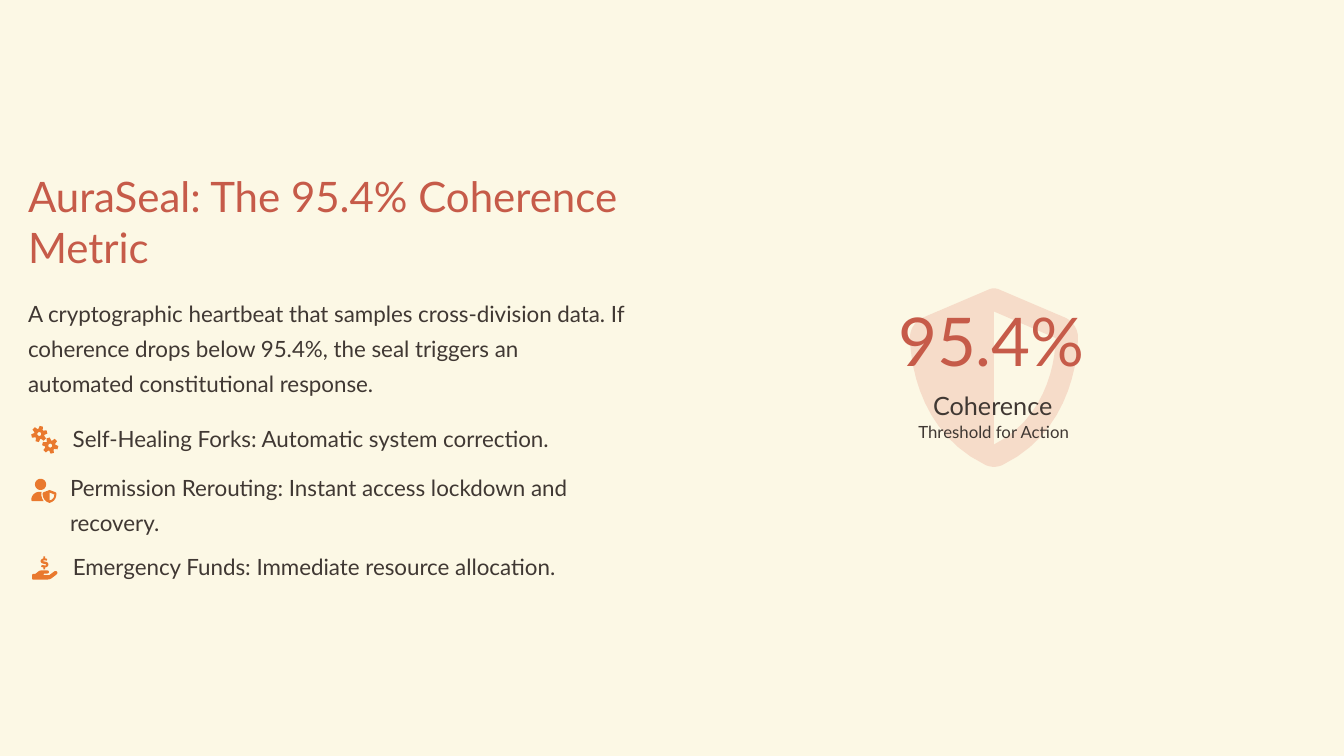
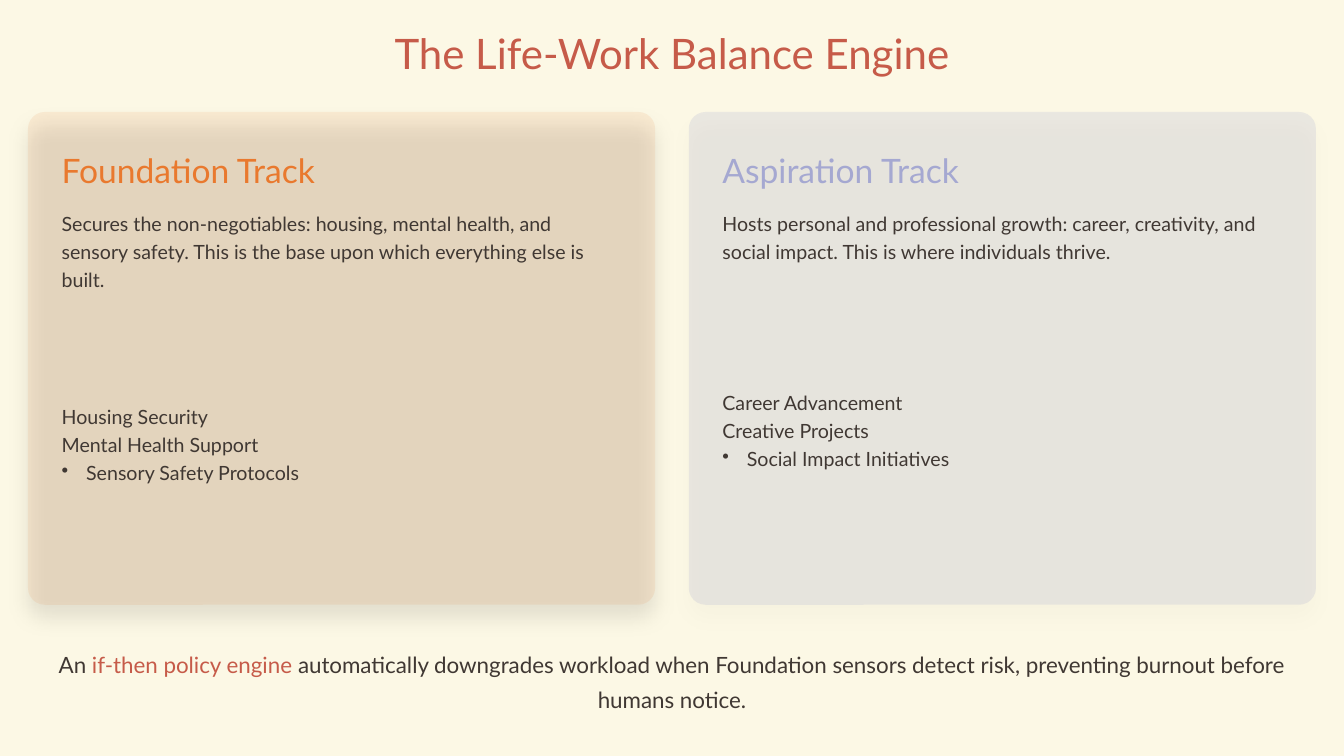
from math import cos, radians, sin

from lxml.etree import SubElement
from pptx import Presentation
from pptx.dml.color import RGBColor
from pptx.enum.shapes import MSO_SHAPE
from pptx.enum.text import MSO_ANCHOR, PP_ALIGN
from pptx.oxml.ns import qn
from pptx.util import Pt

CREAM, RED, CORAL = "FCF8E5", "C65B49", "E06C59"
DARK, ORANGE, LILAC = "403833", "E9792E", "A5A8D1"
FACE = "Lato"
WIDE, HIGH = 960, 540
EDGE = 20
STYLES = {
    "title": {"size": 30, "color": RED, "line": 1.0},
    "lead": {"size": 16, "color": DARK, "line": 1.3},
    "head": {"size": 24, "color": ORANGE, "line": 1.1},
    "body": {"size": 14, "color": DARK, "line": 1.2},
    "score": {"size": 48, "color": RED, "line": 0.8},
    "label": {"size": 18, "color": DARK, "line": 1.3},
    "note": {"size": 12, "color": DARK, "line": 1.1},
}
FRAME = {
    "margin_left": 0, "margin_top": 0, "margin_right": 0, "margin_bottom": 0,
    "word_wrap": True, "vertical_anchor": MSO_ANCHOR.MIDDLE,
}
SHIELD = [
    [(710, 206), (711.2, 206, 712.4, 206.2, 713.5, 206.7), (760.4, 226.7),
     (766, 229, 770, 234.8, 770, 241), (769.6, 265.5, 759.6, 311, 716.5, 331.9),
     (712.4, 334, 707.6, 334, 703.5, 331.9), (660.4, 311, 650.4, 265.5, 650, 241),
     (650, 234.8, 654, 229, 659.6, 226.7), (706.5, 206.7),
     (707.6, 206.2, 708.8, 206, 710, 206)],
    [(710, 222.5), (710, 317.5), (744.5, 300.2, 753.8, 263.5, 754, 241.5)],
]
GUARD = [
    [(27.7, 351.4), (25, 351.4, 22.4, 354, 22.4, 356.8),
     (22.4, 357.6, 22.8, 358, 23.5, 358), (31.2, 358),
     (30.2, 356.5, 29.5, 354.8, 29.5, 352.8), (29.7, 351.4)],
    [(35.4, 350), (39.6, 351.6), (40.1, 351.8, 40.3, 352.2, 40.3, 352.7),
     (40.3, 355.8, 38.8, 358.2, 35.4, 359.2), (32, 358.2, 30.5, 355.8, 30.5, 352.7),
     (30.5, 352.2, 30.7, 351.8, 31.2, 351.6)],
    [(35.4, 351.8), (38.8, 353.2), (38.8, 355.5, 37.7, 356.8, 35.4, 357.5)],
]
FUNDS = [
    [(31, 397.5), (32.3, 397.5), (32.3, 398.9), (33.8, 399.2), (33.5, 400.5),
     (31.2, 400.2), (30.8, 400.9), (33.2, 401.4), (35.1, 402, 35.1, 404.6, 33, 405.2),
     (32.3, 405.4), (32.3, 406.8), (31, 406.8), (31, 405.4), (29.4, 404.9),
     (29.9, 403.6), (32.8, 404), (33.2, 403.2), (30.8, 402.6),
     (28.4, 402, 28.4, 399.6, 31, 398.9)],
    [(26.6, 409), (25.2, 410), (23.8, 410), (23.3, 410, 23, 410.5, 23, 411),
     (23, 413.3), (23, 413.8, 23.3, 414, 23.8, 414), (33.8, 414),
     (35, 414, 36, 413.7, 37, 413), (40.4, 410.4),
     (41.2, 409.8, 41.2, 408.9, 40.7, 408.3), (40.2, 407.8, 39.4, 407.8, 38.8, 408.2),
     (35.3, 410.8), (31.7, 410.8), (31, 410.8, 31, 409.7, 31.7, 409.7),
     (33.8, 409.7), (35.4, 409.7, 35.4, 407.5, 33.8, 407.5), (29.5, 407.5),
     (28.4, 407.5, 27.4, 408.2, 26.6, 409)],
]


def tint(fmt, color):
    fmt.rgb = RGBColor.from_string(color)


def apply(item, values):
    for name, value in values.items():
        setattr(item, name, value)


def paint(shape, color, alpha=100):
    shape.shadow.inherit = False
    shape.line.fill.background()
    shape.fill.solid()
    tint(shape.fill.fore_color, color)
    if alpha < 100:
        node = shape.fill._xPr.find(qn("a:solidFill"))[0]
        SubElement(node, qn("a:alpha"), val=str(alpha * 1000))


def shade(shape):
    glow = SubElement(
        shape.element.spPr.find(qn("a:effectLst")), qn("a:outerShdw"),
        blurRad=str(Pt(15)), dist=str(Pt(10)), dir="5400000",
        algn="ctr", rotWithShape="0")
    node = SubElement(glow, qn("a:srgbClr"), val="000000")
    SubElement(node, qn("a:alpha"), val="10000")


def bullet(para):
    props = para._p.get_or_add_pPr()
    props.set("marL", str(Pt(17.5)))
    props.set("indent", str(-Pt(17.5)))
    SubElement(props, qn("a:buChar"), char="•")


def write(slide, box, lines, style, color=None, align=PP_ALIGN.LEFT):
    look = STYLES[style]
    frame = slide.shapes.add_textbox(*map(Pt, box)).text_frame
    apply(frame, FRAME)
    for index, line in enumerate(lines):
        para = frame.paragraphs[0] if index == 0 else frame.add_paragraph()
        apply(para, {"alignment": align, "line_spacing": look["line"]})
        for part, hue in [(line, None)] if isinstance(line, str) else line:
            run = para.add_run()
            run.text = part
            apply(run.font, {"name": FACE, "size": Pt(look["size"])})
            tint(run.font.color, hue or color or look["color"])
    return frame


def trace(loop):
    points = []
    for step in loop:
        if len(step) == 2:
            points.append(step)
            continue
        knots = [points[-1], step[:2], step[2:4], step[4:]]
        for index in range(1, 13):
            t = index / 12
            parts = ((1 - t) ** 3, 3 * t * (1 - t) ** 2, 3 * t * t * (1 - t), t ** 3)
            points.append(tuple(
                sum(part * knot[axis] for part, knot in zip(parts, knots))
                for axis in (0, 1)))
    return points


def draw(slide, loops, color, alpha=100):
    pen = None
    for loop in loops:
        points = [(round(x * 100), round(y * 100)) for x, y in trace(loop)]
        if pen is None:
            pen = slide.shapes.build_freeform(*points[0], scale=Pt(1) / 100)
        else:
            pen.move_to(*points[0])
        pen.add_line_segments(points[1:], close=True)
    paint(pen.convert_to_shape(), color, alpha)


def polar(x, y, size, angle):
    return x + size * cos(radians(angle)), y + size * sin(radians(angle))


def ring(x, y, size):
    return [polar(x, y, size, angle) for angle in range(0, 360, 15)]


def gear(x, y, turn):
    tooth = ((-25, 3.7), (-12, 5.8), (12, 5.8), (25, 3.7))
    rim = [polar(x, y, size, turn + base + shift)
           for base in range(0, 360, 60) for shift, size in tooth]
    return [rim, ring(x, y, 1.4)]


def metric(slide):
    write(slide, (EDGE, 122, 428, 72), ["AuraSeal: The 95.4% Coherence Metric"], "title")
    write(slide, (EDGE, 210, 428, 72), [
        "A cryptographic heartbeat that samples cross-division data. If coherence "
        "drops below 95.4%, the seal triggers an automated constitutional response."
    ], "lead")
    rows = [
        (gear(28.1, 310, -15) + gear(35.9, 318.3, 15), (52, 298, 346, 24),
         "Self-Healing Forks: Automatic system correction."),
        ([ring(29, 346, 4)] + GUARD, (50, 334, 398, 48),
         "Permission Rerouting: Instant access lockdown and recovery."),
        (FUNDS, (52, 390, 353, 24),
         "Emergency Funds: Immediate resource allocation."),
    ]
    for icon, box, line in rows:
        draw(slide, icon, ORANGE)
        write(slide, box, [line], "lead")
    draw(slide, SHIELD, CORAL, 20)
    write(slide, (641.5, 224, 177, 48), ["95.4%"], "score")
    write(slide, (666.5, 272, 127, 28), ["Coherence"], "label")
    write(slide, (656, 300, 148, 16), ["Threshold for Action"], "note")


def card(slide, left, color, alpha, head, intro, depth, gap, items):
    panel = slide.shapes.add_shape(
        MSO_SHAPE.ROUNDED_RECTANGLE, *map(Pt, (left, 80, 448, 352)))
    panel.adjustments[0] = 12 / 352
    paint(panel, color, alpha)
    shade(panel)
    inner = left + 24
    top = 148 + depth + gap
    write(slide, (inner, 104, 440, 32), [head], "head", color)
    write(slide, (inner, 148, 400, depth), [intro], "body")
    frame = write(slide, (inner, top, 400, 408 - top), items, "body")
    bullet(frame.paragraphs[-1])


def engine(slide):
    mid = PP_ALIGN.CENTER
    write(slide, (0, 20, WIDE, 36), ["The Life-Work Balance Engine"], "title", align=mid)
    card(slide, EDGE, ORANGE, 10, "Foundation Track",
         "Secures the non-negotiables: housing, mental health, and sensory safety. "
         "This is the base upon which everything else is built.", 60, 16,
         ["Housing Security", "Mental Health Support", "Sensory Safety Protocols"])
    card(slide, WIDE - EDGE - 448, LILAC, 20, "Aspiration Track",
         "Hosts personal and professional growth: career, creativity, and social "
         "impact. This is where individuals thrive.", 40, 16,
         ["Career Advancement", "Creative Projects", "Social Impact Initiatives"])
    write(slide, (32, 460, 896, 48), [[
        ("An ", None), ("if-then policy engine", RED),
        (" automatically downgrades workload when Foundation sensors detect risk, "
         "preventing burnout before humans notice.", None),
    ]], "lead", align=mid)


def main():
    deck = Presentation()
    apply(deck, {"slide_width": Pt(WIDE), "slide_height": Pt(HIGH)})
    back = deck.slide_master.background.fill
    back.solid()
    tint(back.fore_color, CREAM)
    for build in (metric, engine):
        build(deck.slides.add_slide(deck.slide_layouts[6]))
    deck.save("out.pptx")


if __name__ == "__main__":
    main()
